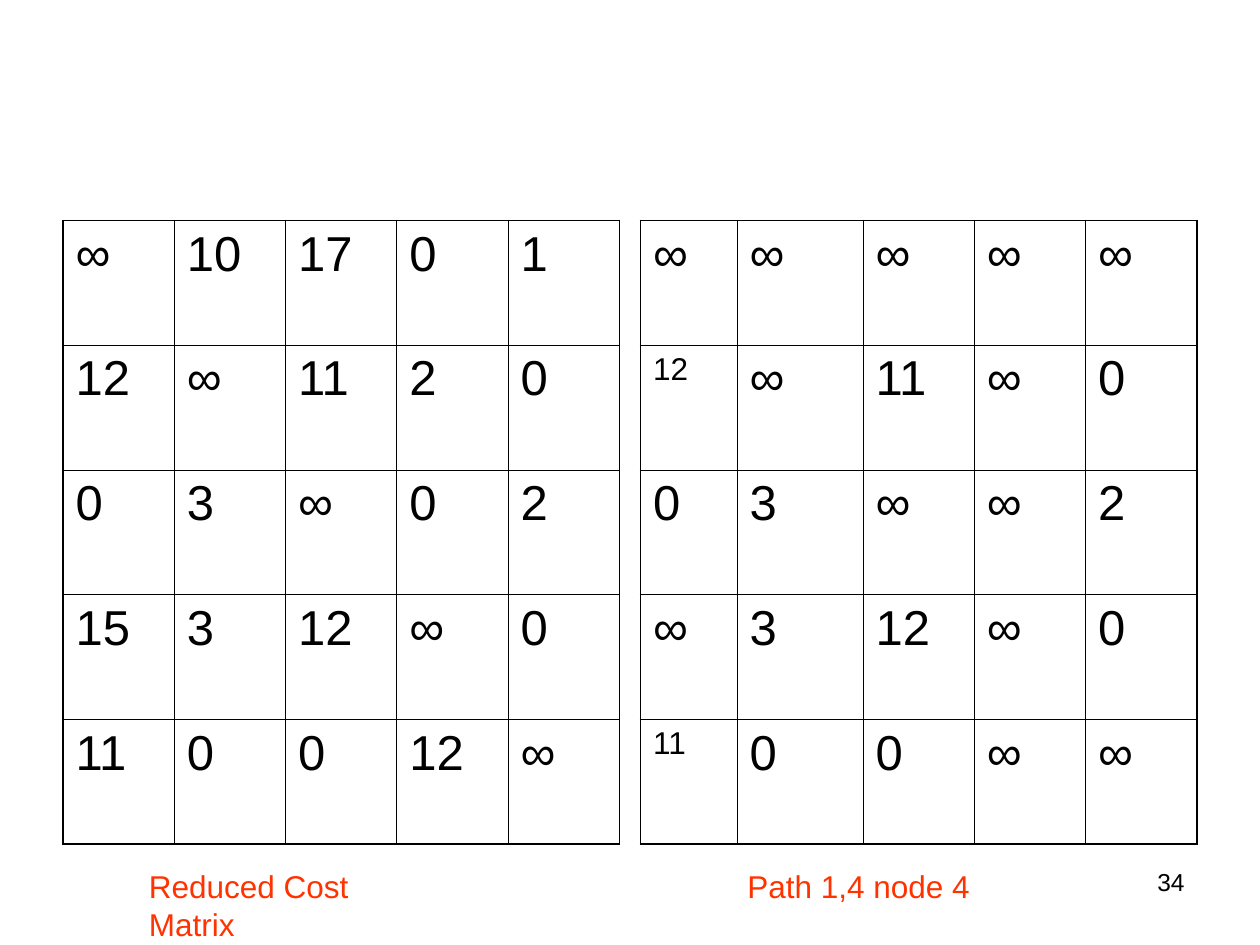
from lxml import etree
from pptx import Presentation
from pptx.dml.color import RGBColor
from pptx.enum.text import MSO_ANCHOR, MSO_AUTO_SIZE, PP_ALIGN
from pptx.oxml.ns import qn
from pptx.util import Pt

LEFT, RIGHT = PP_ALIGN.LEFT, PP_ALIGN.RIGHT
TOP = MSO_ANCHOR.TOP
GROW, FIXED = MSO_AUTO_SIZE.SHAPE_TO_FIT_TEXT, MSO_AUTO_SIZE.NONE

BLACK = RGBColor(0x00, 0x00, 0x00)
ORANGE = RGBColor(0xFF, 0x33, 0x00)
FONT = "Arial"

TABLE_TOP, ROW_HEIGHT = 126, 71.3
CAPTION_TOP = 492
THIN, THICK = 0.45, 1.08
COST_COLS = [63.6] * 5
PATH_COLS = [55.2, 72] + [63.6] * 3

REDUCED_COST = [
    "∞ 10 17 0 1",
    "12 ∞ 11 2 0",
    "0 3 ∞ 0 2",
    "15 3 12 ∞ 0",
    "11 0 0 12 ∞",
]
PATH_COST = [
    "∞ ∞ ∞ ∞ ∞",
    "12 ∞ 11 ∞ 0",
    "0 3 ∞ ∞ 2",
    "∞ 3 12 ∞ 0",
    "11 0 0 ∞ ∞",
]
SMALL_PATH_CELLS = {(1, 0), (4, 0)}


def write_text(tf, text, size=18, color=BLACK, align=LEFT):
    p = tf.paragraphs[0]
    p.alignment = align
    r = p.add_run()
    r.text = text
    r.font.name = FONT
    r.font.size = Pt(size)
    r.font.color.rgb = color


def add_label(s, text, left, width, height, wrap=True, fit=GROW, **fmt):
    sp = s.shapes.add_textbox(Pt(left), Pt(CAPTION_TOP), Pt(width), Pt(height))
    tf = sp.text_frame
    tf.word_wrap = wrap
    tf.auto_size = fit
    write_text(tf, text, **fmt)


def set_borders(cell, **widths):
    tc_pr = cell._tc.get_or_add_tcPr()
    for side, width in widths.items():
        ln = etree.SubElement(tc_pr, qn(f"a:ln{side}"), w=str(Pt(width)))
        fill = etree.SubElement(ln, qn("a:solidFill"))
        etree.SubElement(fill, qn("a:srgbClr"), val=str(BLACK))


def add_matrix(s, rows, left, col_widths, small_cells=()):
    last_row, last_col = len(rows) - 1, len(col_widths) - 1
    table = s.shapes.add_table(
        len(rows), len(col_widths), Pt(left), Pt(TABLE_TOP),
        Pt(sum(col_widths)), Pt(ROW_HEIGHT * len(rows))).table
    table.first_row = table.horz_banding = False
    for col, width in zip(table.columns, col_widths):
        col.width = Pt(width)
    for i, row in enumerate(rows):
        table.rows[i].height = Pt(ROW_HEIGHT)
        for j, value in enumerate(row.split()):
            cell = table.cell(i, j)
            # Heavier rule around the outside, thin rules inside
            set_borders(cell,
                        L=THICK if j == 0 else THIN,
                        R=THICK if j == last_col else THIN,
                        T=THICK if i == 0 else THIN,
                        B=THICK if i == last_row else THIN)
            cell.fill.background()
            cell.vertical_anchor = TOP
            write_text(cell.text_frame, value,
                       size=18 if (i, j) in small_cells else 28)


def main():
    prs = Presentation()
    prs.slide_width, prs.slide_height = Pt(720), Pt(540)
    s = prs.slides.add_slide(prs.slide_layouts[6])

    # Slide number
    add_label(s, "34", 516, 168, 37.5, fit=FIXED, size=14, align=RIGHT)

    # Matrices
    add_matrix(s, REDUCED_COST, 36, COST_COLS)
    add_matrix(s, PATH_COST, 366, PATH_COLS, SMALL_PATH_CELLS)

    # Captions
    add_label(s, "Path 1,4 node 4", 420, 228, 29, color=ORANGE)
    add_label(s, "Reduced Cost Matrix", 78, 182, 29, wrap=False, color=ORANGE)

    prs.save("out.pptx")


if __name__ == "__main__":
    main()
